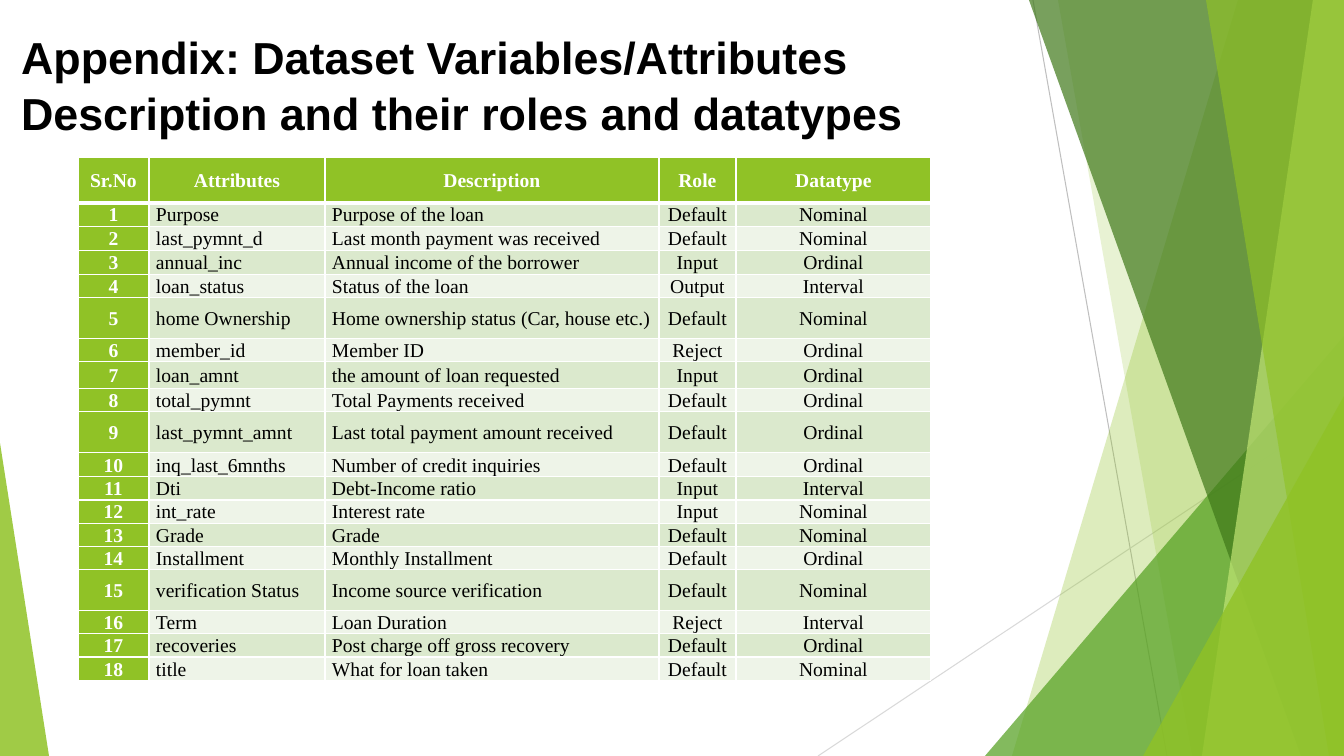
from lxml.etree import SubElement
from pptx import Presentation
from pptx.dml.color import RGBColor
from pptx.enum.shapes import MSO_CONNECTOR, MSO_SHAPE
from pptx.enum.text import MSO_ANCHOR, MSO_AUTO_SIZE, PP_ALIGN
from pptx.oxml.ns import qn
from pptx.util import Emu, Pt

WIDTH, HEIGHT = 1344, 756
SCALE = 914400 / 100.8
GREEN, WHITE, BLACK = "90C226", "FFFFFF", "000000"
BANDS = ("DBE9CD", "EEF4E8")

TITLE = "Appendix: Dataset Variables/Attributes Description and their roles and datatypes"
HEADINGS = ("Sr.No", "Attributes", "Description", "Role", "Datatype")
VARIABLES = [
    ("Purpose", "Purpose of the loan", "Default", "Nominal"),
    ("last_pymnt_d", "Last month payment was received", "Default", "Nominal"),
    ("annual_inc", "Annual income of the borrower", "Input", "Ordinal"),
    ("loan_status", "Status of the loan", "Output", "Interval"),
    ("home Ownership", "Home ownership status (Car, house etc.)", "Default", "Nominal"),
    ("member_id", "Member ID", "Reject", "Ordinal"),
    ("loan_amnt", "the amount of loan requested", "Input", "Ordinal"),
    ("total_pymnt", "Total Payments received", "Default", "Ordinal"),
    ("last_pymnt_amnt", "Last total payment amount received", "Default", "Ordinal"),
    ("inq_last_6mnths", "Number of credit inquiries", "Default", "Ordinal"),
    ("Dti", "Debt-Income ratio", "Input", "Interval"),
    ("int_rate", "Interest rate", "Input", "Nominal"),
    ("Grade", "Grade", "Default", "Nominal"),
    ("Installment", "Monthly Installment", "Default", "Ordinal"),
    ("verification Status", "Income source verification", "Default", "Nominal"),
    ("Term", "Loan Duration", "Reject", "Interval"),
    ("recoveries", "Post charge off gross recovery", "Default", "Ordinal"),
    ("title", "What for loan taken", "Default", "Nominal"),
]
COLUMN_WIDTHS = (71, 176, 334, 77, 195)
ROW_HEIGHTS = (46, 21, 24, 24, 23, 41, 23, 27, 23, 41, 24, 23, 23, 23, 21, 41, 23, 21, 23)
ALIGNMENTS = (PP_ALIGN.CENTER, PP_ALIGN.JUSTIFY, PP_ALIGN.LEFT, PP_ALIGN.CENTER, PP_ALIGN.CENTER)


def px(length):
    return Emu(round(length * SCALE))


def color(code):
    return RGBColor.from_string(code)


def apply(target, values):
    for name, value in values.items():
        setattr(target, name, value)


class FacetSlide:
    title_font = {"name": "Arial", "size": Pt(32), "bold": True}
    cell_font = {"name": "Times New Roman", "size": Pt(14)}
    cell_box = {
        "margin_left": px(7), "margin_right": px(7),
        "margin_top": 0, "margin_bottom": 0,
        "vertical_anchor": MSO_ANCHOR.MIDDLE,
    }

    def __init__(self, deck):
        self.slide = deck.slides.add_slide(deck.slide_layouts[5])
        self.shapes = self.slide.shapes

    def wording(self, paragraph, text, font, ink, layout):
        run = paragraph.add_run()
        run.text = text
        apply(run.font, font)
        run.font.color.rgb = color(ink)
        apply(paragraph, layout)

    def title(self, text, left, top, width, height):
        heading = self.shapes.title
        apply(heading, {"left": px(left), "top": px(top), "width": px(width), "height": px(height)})
        apply(heading.text_frame, {
            "word_wrap": True, "auto_size": MSO_AUTO_SIZE.NONE, "vertical_anchor": MSO_ANCHOR.MIDDLE,
        })
        self.wording(heading.text_frame.paragraphs[0], text, self.title_font, BLACK,
                     {"alignment": PP_ALIGN.LEFT, "line_spacing": 1.05})

    def line(self, start, end, ink):
        ray = self.shapes.add_connector(MSO_CONNECTOR.STRAIGHT, *map(px, start + end))
        ray.line.color.rgb = color(ink)
        ray.line.width = Pt(0.75)
        SubElement(ray._element.spPr, qn("a:effectLst"))

    def paint(self, facet, ink, opacity):
        facet.shadow.inherit = False
        facet.fill.solid()
        facet.fill.fore_color.rgb = color(ink)
        facet.line.fill.background()
        tint = facet._element.spPr.find(qn("a:solidFill"))[0]
        SubElement(tint, qn("a:alpha"), val=str(opacity * 1000))

    def band(self, top_left, top_right, bottom_left, ink, opacity):
        outline = self.shapes.build_freeform(top_left, 0, scale=SCALE)
        outline.add_line_segments([(top_right, 0), (WIDTH, HEIGHT), (bottom_left, HEIGHT)])
        self.paint(outline.convert_to_shape(), ink, opacity)

    def triangle(self, left, top, width, apex, ink, opacity):
        facet = self.shapes.add_shape(
            MSO_SHAPE.ISOSCELES_TRIANGLE, px(left), px(top), px(width), px(HEIGHT - top))
        facet.adjustments[0] = apex
        self.paint(facet, ink, opacity)

    def border(self, cell, side, points):
        edge = SubElement(cell._tc.get_or_add_tcPr(), qn(f"a:ln{side}"), w=str(Pt(points)))
        SubElement(SubElement(edge, qn("a:solidFill")), qn("a:srgbClr"), val=WHITE)

    def cell(self, cell, text, row, column):
        accented = row == 0 or column == 0
        thick_sides = {0: "B", 1: "T"}
        for side in "LRTB":
            self.border(cell, side, 3 if thick_sides.get(row) == side else 1)
        cell.fill.solid()
        cell.fill.fore_color.rgb = color(GREEN if accented else BANDS[(row - 1) % 2])
        apply(cell, self.cell_box)
        self.wording(cell.text_frame.paragraphs[0], text, {**self.cell_font, "bold": accented},
                     WHITE if accented else BLACK,
                     {"alignment": ALIGNMENTS[column] if row else PP_ALIGN.CENTER, "line_spacing": 1.07})

    def table(self, records, left, top):
        grid = self.shapes.add_table(
            len(records), len(COLUMN_WIDTHS), px(left), px(top),
            px(sum(COLUMN_WIDTHS)), px(sum(ROW_HEIGHTS))).table
        for column, width in zip(grid.columns, COLUMN_WIDTHS):
            column.width = px(width)
        for row, height in zip(grid.rows, ROW_HEIGHTS):
            row.height = px(height)
        for row, record in enumerate(records):
            for column, text in enumerate(record):
                self.cell(grid.cell(row, column), text, row, column)


def main():
    deck = Presentation()
    apply(deck, {"slide_width": px(WIDTH), "slide_height": px(HEIGHT)})
    appendix = FacetSlide(deck)

    appendix.line((1033, 0), (1167, HEIGHT), "BFBFBF")
    appendix.line((WIDTH, 406), (818, HEIGHT), "D9D9D9")
    appendix.band(1238, WIDTH, 1012, GREEN, 30)
    appendix.band(1058, WIDTH, 1192, GREEN, 20)
    appendix.triangle(985, 336, 359, 1, "54A021", 72)
    appendix.band(1029, WIDTH, 1301, "3F7819", 70)
    appendix.band(1313, WIDTH, 1202, "C0E474", 70)
    appendix.band(1206, WIDTH, 1329, GREEN, 65)
    appendix.triangle(1143, 396, 201, 1, GREEN, 80)
    appendix.triangle(0, 443, 49, 0, GREEN, 85)

    appendix.title(TITLE, 11, 20, 933, 126)
    numbered = [(str(number), *variable) for number, variable in enumerate(VARIABLES, 1)]
    appendix.table([HEADINGS, *numbered], 78, 157)
    deck.save("out.pptx")


if __name__ == "__main__":
    main()
